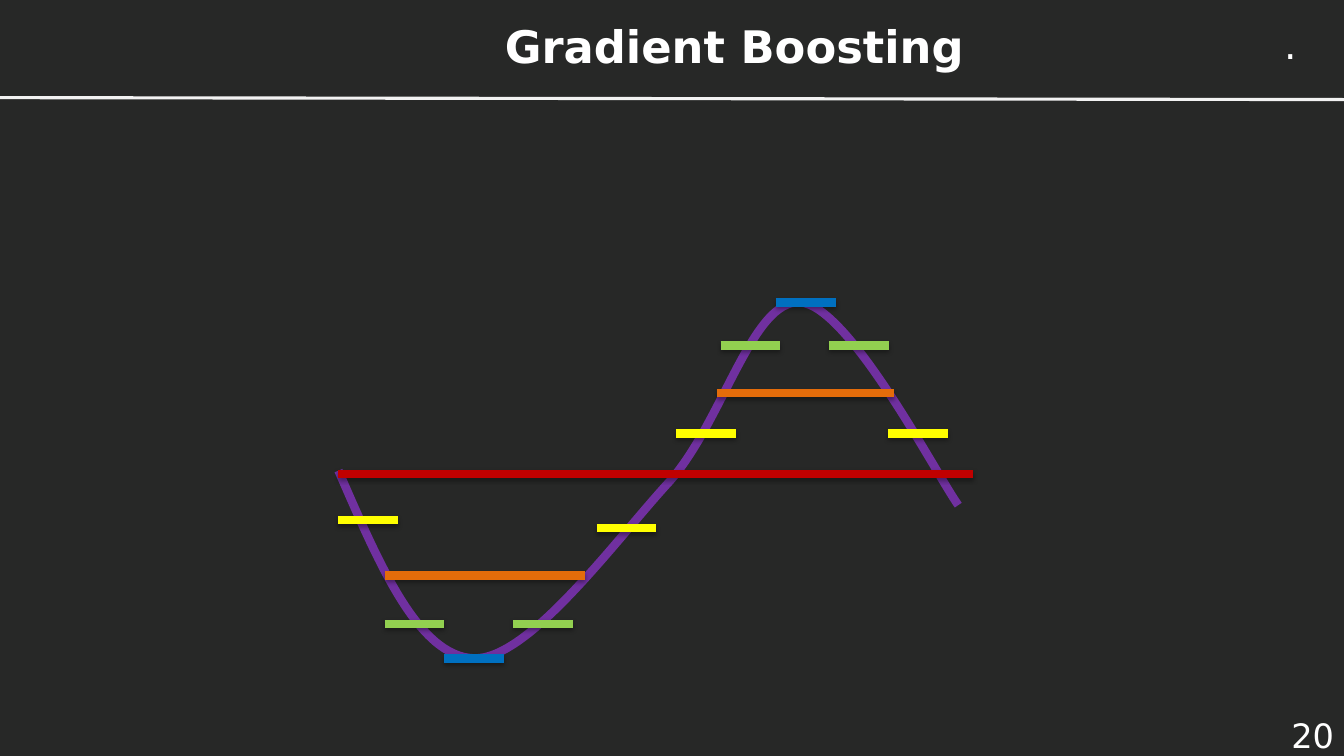
import pptx
import pptx.dml.color
import pptx.enum.shapes
import pptx.enum.text
import pptx.oxml
import pptx.oxml.ns
import pptx.util
from lxml import etree

Cm, Pt = pptx.util.Cm, pptx.util.Pt
ALIGN = pptx.enum.text.PP_ALIGN
ANCHOR = pptx.enum.text.MSO_ANCHOR
qn = pptx.oxml.ns.qn

FONT = "DejaVu Sans"
COLORS = {
    "background": "272827", "text": "FFFFFF", "rule": "F2F2F2",
    "curve": "7030A0", "red": "C00000", "orange": "E46C0A",
    "yellow": "FFFF00", "green": "92D050", "blue": "0070C0",
}
SHORT = 1.5  # length of a small step, cm

# Target curve: start point, then two control points and an end point per arc
CURVE = [
    (0, 4.24),
    (1.02, 6.58), (2.01, 8.92), (3.41, 8.97),
    (4.78, 9.02), (6.94, 6.05), (8.31, 4.55),
    (9.68, 3.05), (10.42, -0.1), (11.64, 0),
    (12.86, 0.08), (15.04, 4.29), (15.62, 5.11),
]
# Fitted steps by boosting round: (x, y, length) inside the plot
STEPS = {
    "red": [(0, 4.32, 16)],
    "orange": [(1.17, 6.88, 5.03), (9.55, 2.29, 4.45)],
    "yellow": [(0, 5.49, SHORT), (6.51, 5.69, SHORT),
               (8.51, 3.3, SHORT), (13.85, 3.3, SHORT)],
    "green": [(9.63, 1.09, SHORT), (12.37, 1.09, SHORT),
              (1.17, 8.1, SHORT), (4.4, 8.1, SHORT)],
    "blue": [(2.67, 8.97, SHORT), (11.03, 0, SHORT)],
}


def rgb(name):
    return pptx.dml.color.RGBColor.from_string(COLORS[name])


def add_text(s, text, box, size, align, anchor=ANCHOR.MIDDLE, bold=False, wrap=True):
    tf = s.shapes.add_textbox(*(Cm(v) for v in box)).text_frame
    tf.word_wrap = wrap
    tf.vertical_anchor = anchor
    p = tf.paragraphs[0]
    p.alignment = align
    r = p.add_run()
    r.text = text
    r.font.name, r.font.size, r.font.bold = FONT, Pt(size), bold
    r.font.color.rgb = rgb("text")


def add_line(s, x1, y1, x2, y2, color, width, shadow=False):
    line = s.shapes.add_connector(
        pptx.enum.shapes.MSO_CONNECTOR.STRAIGHT, Cm(x1), Cm(y1), Cm(x2), Cm(y2))
    line.line.color.rgb = rgb(color)
    line.line.width = Pt(width)
    effects = etree.SubElement(line._element.spPr, qn("a:effectLst"))
    if shadow:
        outer = etree.SubElement(effects, qn("a:outerShdw"), blurRad=str(Pt(3.1)),
                                 dist=str(Pt(1.8)), dir="5400000", rotWithShape="0")
        black = etree.SubElement(outer, qn("a:srgbClr"), val="000000")
        etree.SubElement(black, qn("a:alpha"), val="35000")


def add_curve(s, left, top):
    points = [(Cm(left + x), Cm(top + y)) for x, y in CURVE]
    fb = s.shapes.build_freeform(*points[0])
    fb.add_line_segments(points[1:], close=False)
    sp = fb.convert_to_shape()
    sp.shadow.inherit = False
    sp.fill.background()
    sp.line.color.rgb = rgb("curve")
    sp.line.width = Pt(6)
    # Join each three segments into one cubic arc
    outline = sp._element.spPr.find(".//" + qn("a:path"))
    segments = outline.findall(qn("a:lnTo"))
    for i in range(0, len(segments), 3):
        arc = etree.SubElement(outline, qn("a:cubicBezTo"))
        for segment in segments[i:i + 3]:
            arc.append(segment[0])
            outline.remove(segment)


def add_header(s, left, top, width, height):
    add_text(s, "Gradient Boosting ", (left + 8.74, top + 0.48, 19.94, 1.35), 32,
             ALIGN.CENTER, bold=True)
    add_line(s, left, top + height - 0.05, left + width, top + height, "rule", 2.25)
    add_text(s, ".", (left + 32.11, top + 0.38, 0.86, 1.45), 28, ALIGN.LEFT,
             ANCHOR.TOP, wrap=False)


def add_plot(s, left, top):
    add_curve(s, left, top)
    for color, steps in STEPS.items():
        for x, y, length in steps:
            add_line(s, left + x, top + y, left + x + length, top + y, color, 6, True)


def add_footer(s, right, bottom):
    add_text(s, "20", (right - 2.66, bottom - 1.07, 2.66, 1.07), 24, ALIGN.RIGHT)


def main():
    prs = pptx.Presentation()
    prs.slide_width, prs.slide_height = Cm(33.87), Cm(19.05)
    s = prs.slides.add_slide(prs.slide_layouts[6])
    s.background.fill.solid()
    s.background.fill.fore_color.rgb = rgb("background")
    add_footer(s, 33.87, 19.05)
    add_header(s, 0, 0, 33.87, 2.51)
    add_plot(s, 8.53, 7.62)
    prs.save("out.pptx")


if __name__ == "__main__":
    main()
